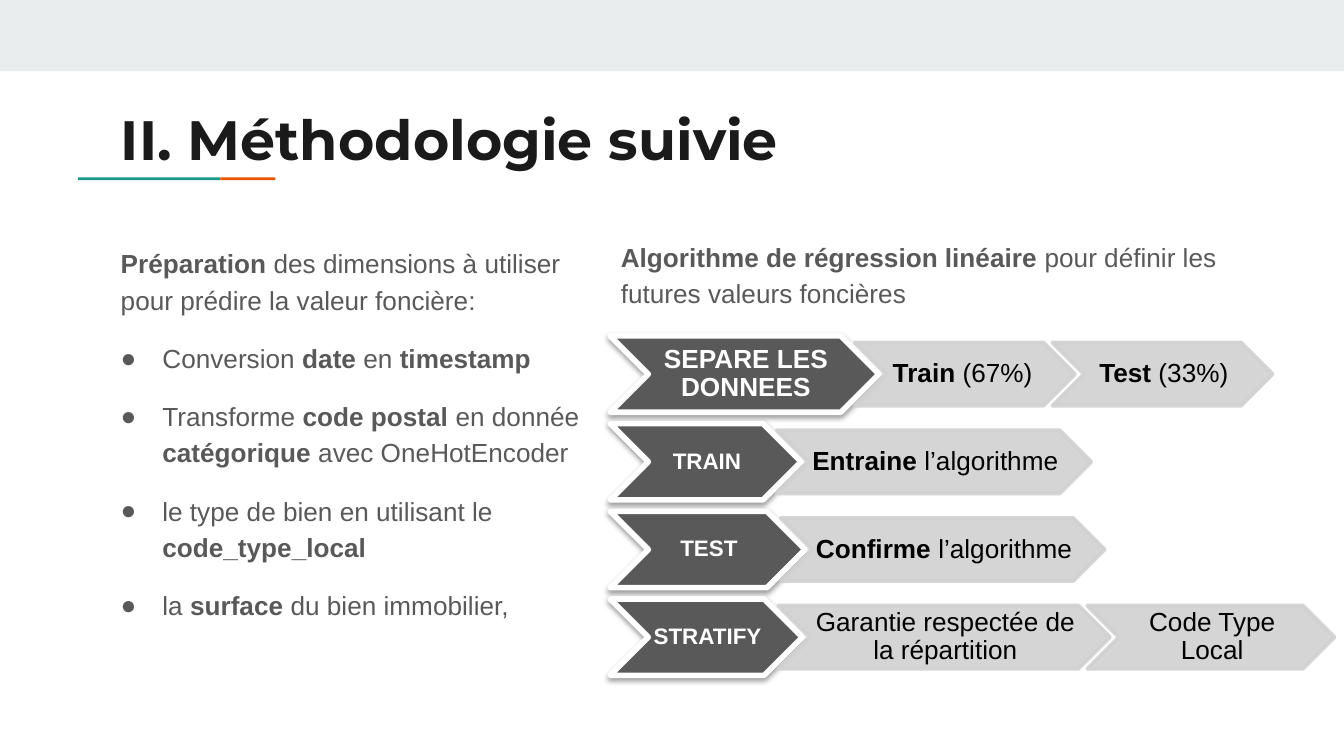
from lxml import etree
from pptx import Presentation, util as u
from pptx.dml.color import RGBColor
from pptx.enum import shapes, text
from pptx.oxml import ns

WIDTH = 10
HEIGHT = WIDTH * 9 / 16
GREY, BLACK, WHITE, SILVER = "595959", "000000", "FFFFFF", "D1D1D1"
LEFT, TOP = text.PP_ALIGN.LEFT, text.MSO_ANCHOR.TOP

TITLE = "II. Méthodologie suivie"
PREPARATION = [
    [("Préparation", True), (" des dimensions à utiliser pour prédire la valeur foncière:", False)],
    [("Conversion ", False), ("date", True), (" en ", False), ("timestamp", True)],
    [("Transforme ", False), ("code postal ", True), ("en donnée", False),
     (" catégorique ", True), ("avec OneHotEncoder", False)],
    [("le type de bien en utilisant le ", False), ("code_type_local", True)],
    [("la ", False), ("surface", True), (" du bien immobilier,", False)],
]
ALGORITHM = [("Algorithme de régression linéaire", True),
             (" pour définir les futures valeurs foncières", False)]
STAGES = [
    ("SEPARE LES DONNEES", 14, 2,
     [(1.64, [("Train", True), (" (67%) ", False)]), (1.64, [("Test", True), (" (33%)", False)])]),
    ("TRAIN", 12, 1.42, [(2.34, [("Entraine", True), (" l’algorithme", False)])]),
    ("TEST", 12, 1.45, [(2.41, [("Confirme", True), (" l’algorithme", False)])]),
    ("STRATIFY", 12, 1.43,
     [(2.47, [("Garantie respectée de la répartition", False)]), (1.84, [("Code Type Local", False)])]),
]


def paint(colour_format, colour):
    colour_format.rgb = RGBColor.from_string(colour)


def inches(*lengths):
    return [u.Inches(length) for length in lengths]


def set_frame(frame, margins, anchor):
    frame.word_wrap = True
    frame.auto_size = text.MSO_AUTO_SIZE.NONE
    frame.vertical_anchor = anchor
    frame.margin_left, frame.margin_top, frame.margin_right, frame.margin_bottom = inches(*margins)


def write(paragraph, runs, size, colour, font="Arial", align=LEFT, spacing=1.15, after=0):
    paragraph.alignment = align
    paragraph.line_spacing = spacing
    paragraph.space_before, paragraph.space_after = u.Pt(0), u.Pt(after)
    for words, bold in runs:
        run = paragraph.add_run()
        run.text = words
        run.font.name, run.font.size, run.font.bold = font, u.Pt(size), bold
        paint(run.font.color, colour)


def add_bullet(paragraph, colour):
    properties = paragraph._p.get_or_add_pPr()
    properties.set("marL", str(u.Inches(0.31)))
    properties.set("indent", str(-u.Inches(0.31)))
    bullet_colour = etree.SubElement(properties, ns.qn("a:buClr"))
    etree.SubElement(bullet_colour, ns.qn("a:srgbClr"), val=colour)
    etree.SubElement(properties, ns.qn("a:buFont"), typeface="Arial")
    etree.SubElement(properties, ns.qn("a:buChar"), char="●")


def add_block(slide, kind, box, fill):
    block = slide.shapes.add_shape(kind, *inches(*box))
    block.shadow.inherit = False
    block.fill.solid()
    paint(block.fill.fore_color, fill)
    block.line.fill.background()
    return block


def add_drop_shadow(shape):
    effects = shape._element.spPr.find(ns.qn("a:effectLst"))
    shadow = etree.SubElement(effects, ns.qn("a:outerShdw"), blurRad=str(u.Pt(3.1)),
                              dist=str(u.Pt(1.6)), dir="5400000", rotWithShape="0")
    shade = etree.SubElement(shadow, ns.qn("a:srgbClr"), val=BLACK)
    etree.SubElement(shade, ns.qn("a:alpha"), val="38000")


def make_translucent(shape):
    for shade in shape._element.spPr.iter(ns.qn("a:srgbClr")):
        etree.SubElement(shade, ns.qn("a:alpha"), val="90000")


def add_chevron(slide, box, fill, outline, line_width, runs, size, colour):
    chevron = add_block(slide, shapes.MSO_SHAPE.CHEVRON, box, fill)
    paint(chevron.line.color, outline)
    chevron.line.width = u.Pt(line_width)
    set_frame(chevron.text_frame, (0.02, 0.01, 0, 0.01), text.MSO_ANCHOR.MIDDLE)
    write(chevron.text_frame.paragraphs[0], runs, size, colour,
          align=text.PP_ALIGN.CENTER, spacing=0.9)
    return chevron


def add_header(slide, box):
    left, top, width, height = box
    rectangle = shapes.MSO_SHAPE.RECTANGLE
    add_block(slide, rectangle, (0, 0, WIDTH, 0.53), "E9EDEE")
    rule_left, rule_top, rule_height = left - 0.22, top + height + 0.05, 0.02
    teal, orange = 1.06, 0.41
    add_block(slide, rectangle, (rule_left, rule_top, teal, rule_height), "1A9988")
    add_block(slide, rectangle, (rule_left + teal, rule_top, orange, rule_height), "EB5600")
    title = slide.shapes.title
    title.left, title.top, title.width, title.height = inches(*box)
    set_frame(title.text_frame, [0.1] * 4, TOP)
    write(title.text_frame.paragraphs[0], [(TITLE, True)], 29.7, "1A1A1A", "Montserrat", spacing=1)


def add_preparation(slide, box):
    frame = slide.shapes.add_textbox(*inches(*box)).text_frame
    set_frame(frame, [0.1] * 4, TOP)
    for index, runs in enumerate(PREPARATION):
        paragraph = frame.add_paragraph() if index else frame.paragraphs[0]
        write(paragraph, runs, 14, GREY, after=12)
        if index:
            add_bullet(paragraph, GREY)


def add_algorithm(slide, box):
    frame = slide.shapes.add_textbox(*inches(*box)).text_frame
    set_frame(frame, (0.26, 0.1, 0.1, 0.1), TOP)
    write(frame.paragraphs[0], ALGORITHM, 14, GREY)


def add_stages(slide, box):
    left, top, _, height = box
    row = height / len(STAGES)
    label_height, step_height = row * 0.87, row * 0.72
    step_inset = (label_height - step_height) / 2
    for index, (label, size, label_width, steps) in enumerate(STAGES):
        row_top = top + index * row
        head = add_chevron(slide, (left, row_top, label_width, label_height),
                           GREY, WHITE, 3, [(label, True)], size, WHITE)
        add_drop_shadow(head)
        step_left = left + label_width - 0.18
        for step_width, runs in steps:
            step = add_chevron(slide, (step_left, row_top + step_inset, step_width, step_height),
                               SILVER, SILVER, 2, runs, 14, BLACK)
            make_translucent(step)
            step_left += step_width - 0.17


def main():
    deck = Presentation()
    deck.slide_width, deck.slide_height = inches(WIDTH, HEIGHT)
    slide = deck.slides.add_slide(deck.slide_layouts[5])
    margin = WIDTH * 0.08
    add_header(slide, (margin, 0.68, 8.41, 0.59))
    add_preparation(slide, (margin, 1.71, 3.62, 3.67))
    add_stages(slide, (4.54, 2.5, 5.39, 2.61))
    add_algorithm(slide, (4.36, 1.66, 5.24, 0.81))
    deck.save("out.pptx")


if __name__ == "__main__":
    main()
